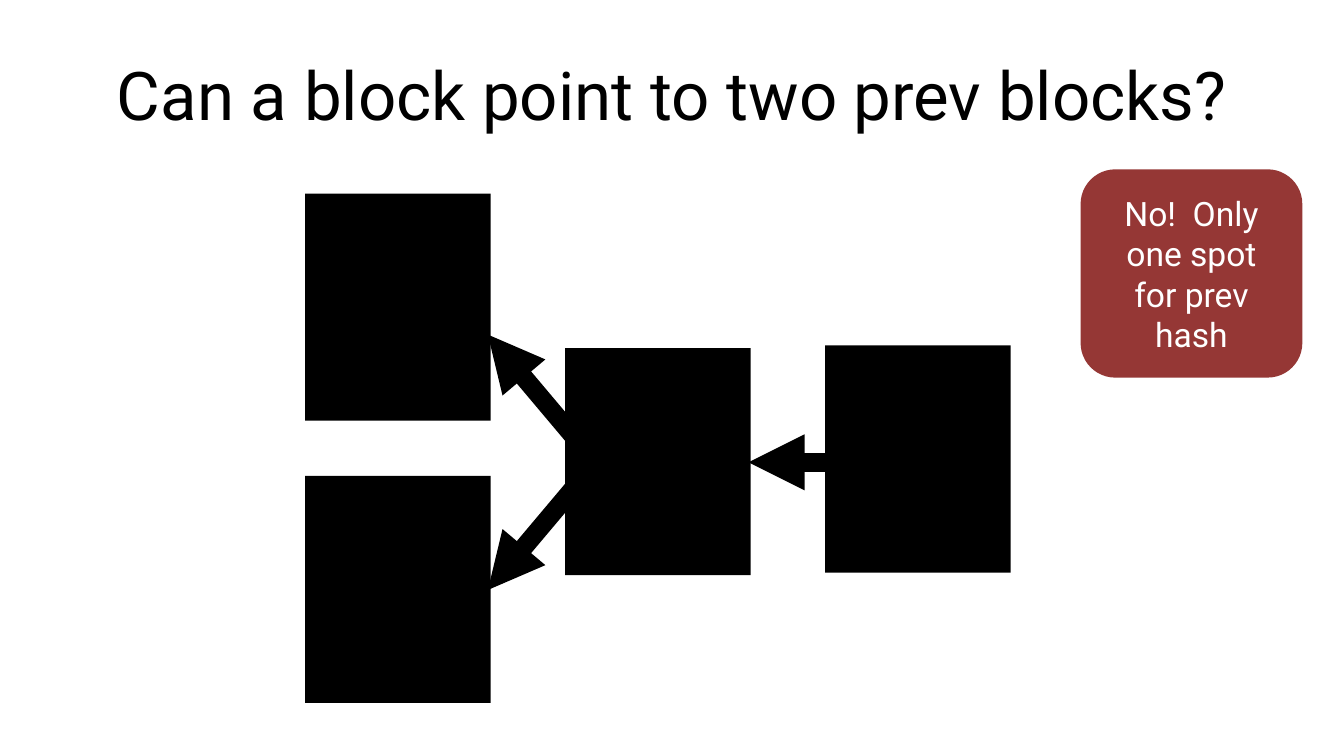
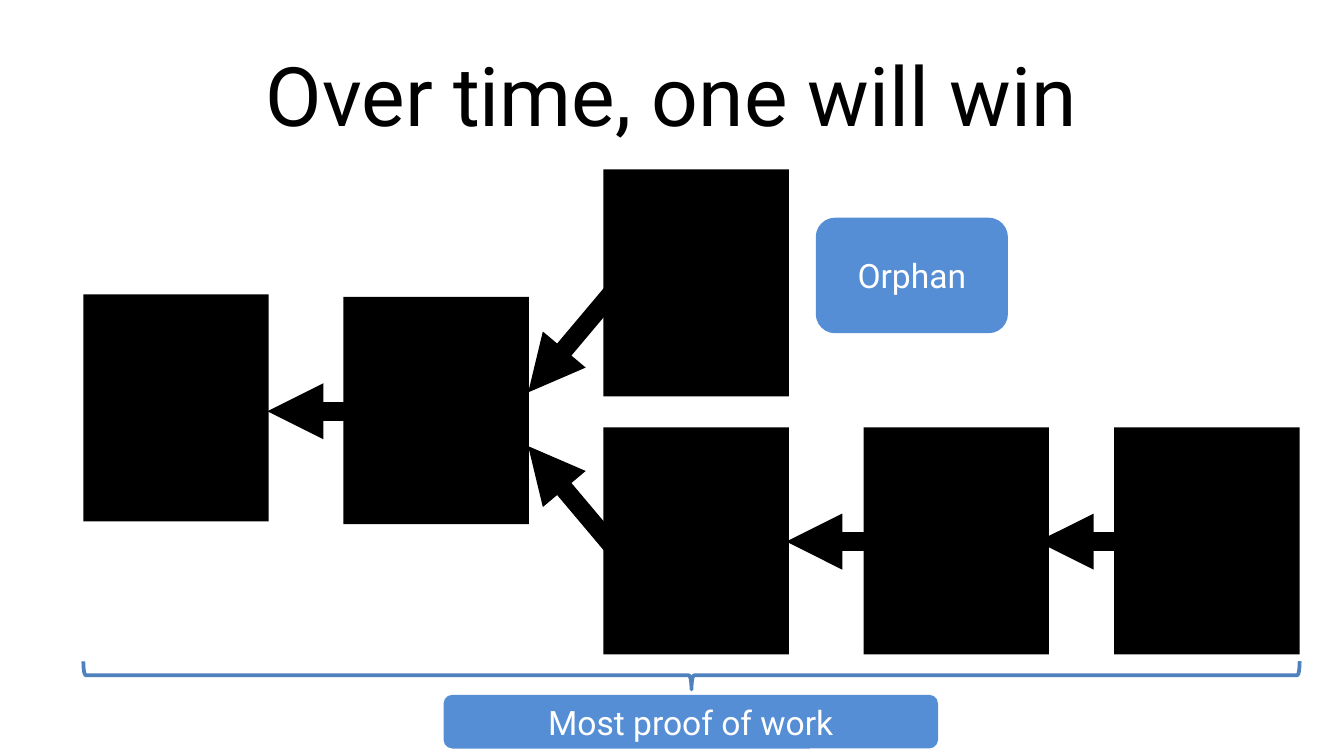
"""Build two slides about how blocks in a chain point to previous blocks."""
from dataclasses import dataclass

from lxml import etree
from pptx import Presentation, util as u
from pptx.dml.color import RGBColor
from pptx.enum import shapes, text
from pptx.oxml.ns import qn

WIDTH, HEIGHT = u.Inches(10), u.Inches(5.625)
COLUMNS, ROWS = 100, 56.25
BLOCK_SIZE = (13.8, 16.9)
BLOCK_PITCH = 19.35
ARROW_RUN, ARROW_RISE = 8, 9.5


@dataclass(frozen=True)
class Theme:
    font: str = "Roboto"
    ink: str = "000000"
    paper: str = "FFFFFF"
    warning: str = "953735"
    label: str = "558ED5"
    brace: str = "4F81BD"
    small_title: int = 36
    title: int = 44
    body: int = 18
    arrow_width: int = 10
    brace_width: int = 2


THEME = Theme()


def column(count):
    return round(WIDTH * count / COLUMNS)


def row(count):
    return round(HEIGHT * count / ROWS)


def box(left, top, width, height):
    return column(left), row(top), column(width), row(height)


def write(shape, words, *, size, color):
    frame = shape.text_frame
    frame.word_wrap = True
    frame.vertical_anchor = text.MSO_ANCHOR.MIDDLE
    paragraph = frame.paragraphs[0]
    paragraph.alignment = text.PP_ALIGN.CENTER
    run = paragraph.add_run()
    run.text = words
    run.font.name = THEME.font
    run.font.size = u.Pt(size)
    run.font.color.rgb = RGBColor.from_string(color)


def add_title(slide, words, size, left=5):
    area = box(left, 2.3, COLUMNS - 2 * left, 9.4)
    write(slide.shapes.add_textbox(*area), words, size=size, color=THEME.ink)


def add_filled(slide, kind, area, color):
    shape = slide.shapes.add_shape(kind, *box(*area))
    shape.shadow.inherit = False
    shape.fill.solid()
    shape.fill.fore_color.rgb = RGBColor.from_string(color)
    shape.line.fill.background()
    return shape


def add_block(slide, left, top):
    add_filled(slide, shapes.MSO_SHAPE.RECTANGLE, (left, top, *BLOCK_SIZE), THEME.ink)


def add_label(slide, words, area, color):
    shape = add_filled(slide, shapes.MSO_SHAPE.ROUNDED_RECTANGLE, area, color)
    write(shape, words, size=THEME.body, color=THEME.paper)


def add_arrow(slide, tip_x, tip_y, rise=0):
    arrow = slide.shapes.add_connector(
        shapes.MSO_CONNECTOR.STRAIGHT,
        column(tip_x + ARROW_RUN), row(tip_y + rise), column(tip_x), row(tip_y))
    arrow.line.color.rgb = RGBColor.from_string(THEME.ink)
    arrow.line.width = u.Pt(THEME.arrow_width)
    etree.SubElement(arrow.line._get_or_add_ln(), qn("a:tailEnd"), type="triangle")
    etree.SubElement(arrow._element.spPr, qn("a:effectLst"))


def add_brace(slide, area):
    brace = slide.shapes.add_shape(shapes.MSO_SHAPE.LEFT_BRACE, *box(*area))
    brace.shadow.inherit = False
    brace.rotation = 270
    brace.fill.background()
    brace.line.color.rgb = RGBColor.from_string(THEME.brace)
    brace.line.width = u.Pt(THEME.brace_width)


def build_two_parents(slide):
    add_title(slide, "Can a block point to two prev blocks?", THEME.small_title, left=2.95)
    add_arrow(slide, 36.3, 24.9, ARROW_RISE)
    add_arrow(slide, 36.3, 43.9, -ARROW_RISE)
    add_arrow(slide, 55.7, 34.4)
    for step, top in ((0, 14.4), (0, 35.4), (1, 25.9), (2, 25.7)):
        add_block(slide, 22.7 + step * BLOCK_PITCH, top)
    add_label(slide, "No!  Only one spot for prev hash", (80.4, 12.6, 16.5, 15.5), THEME.warning)


def build_winning_branch(slide):
    add_title(slide, "Over time, one will win", THEME.title)
    add_arrow(slide, 39.3, 29.2, -ARROW_RISE)
    add_arrow(slide, 39.3, 33.2, ARROW_RISE)
    for tip_x, tip_y in ((19.9, 30.6), (58.5, 40.3), (77.2, 40.3)):
        add_arrow(slide, tip_x, tip_y)
    for step, top in ((0, 21.9), (1, 22.1), (2, 12.6), (2, 31.8), (3, 31.8)):
        add_block(slide, 6.2 + step * BLOCK_PITCH, top)
    add_block(slide, 82.9, 31.8)
    add_label(slide, "Orphan", (60.7, 16.2, 14.3, 8.6), THEME.label)
    add_brace(slide, (50.4, 5, 2.1, 90.5))
    add_label(slide, "Most proof of work", (33, 51.7, 36.8, 4), THEME.label)


def main():
    presentation = Presentation()
    presentation.slide_width, presentation.slide_height = WIDTH, HEIGHT
    blank = presentation.slide_layouts[6]
    for build in (build_two_parents, build_winning_branch):
        build(presentation.slides.add_slide(blank))
    presentation.save("out.pptx")


main()
